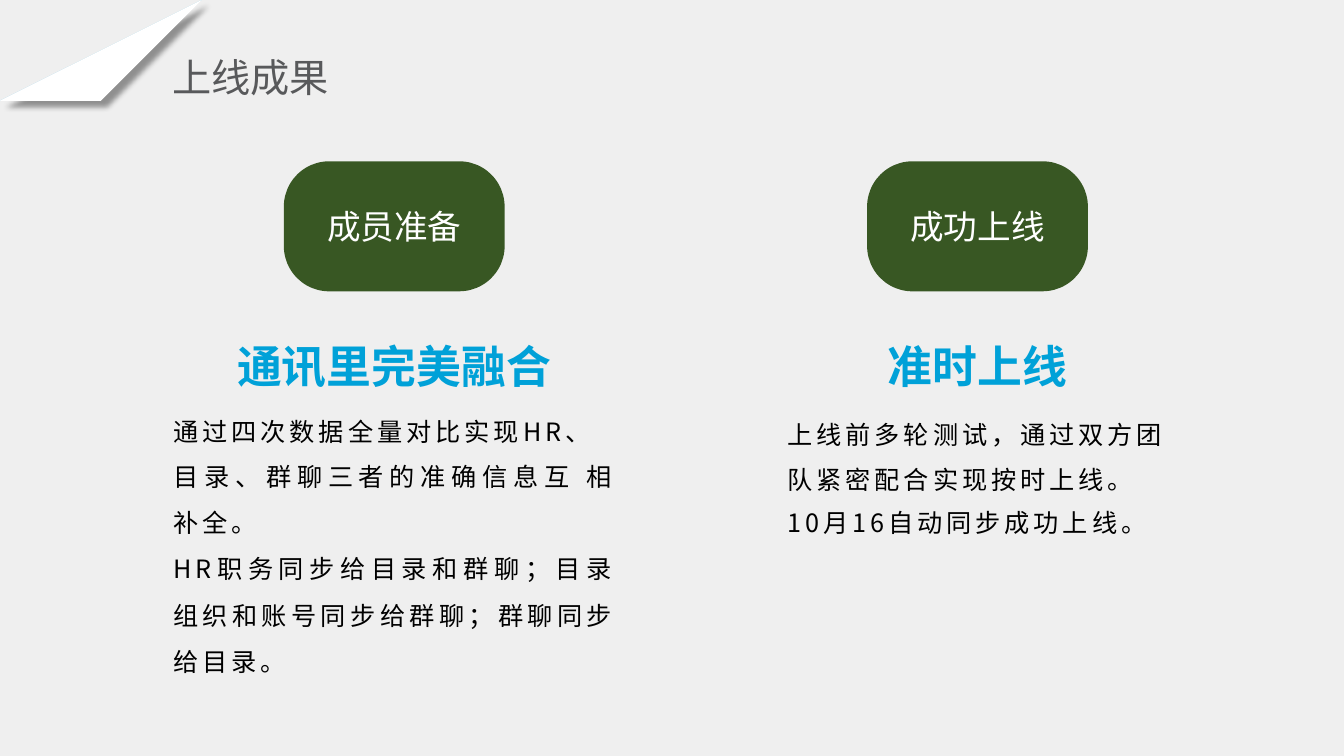
from lxml import etree
from pptx import Presentation
from pptx.dml.color import RGBColor
from pptx.enum.shapes import MSO_SHAPE
from pptx.enum.text import MSO_ANCHOR, MSO_AUTO_SIZE, PP_ALIGN
from pptx.oxml.ns import qn
from pptx.util import Inches, Pt

ROUNDED = MSO_SHAPE.ROUNDED_RECTANGLE
TOP, MIDDLE = MSO_ANCHOR.TOP, MSO_ANCHOR.MIDDLE
LEFT, CENTER, JUSTIFY = PP_ALIGN.LEFT, PP_ALIGN.CENTER, PP_ALIGN.JUSTIFY
NO_AUTOFIT = MSO_AUTO_SIZE.NONE

FONT = "Noto Sans CJK SC"
COLORS = {
    "background": "EFEFEF", "sky": "59C3EB", "white": "FFFFFF", "shadow": "000000",
    "title": "58595B", "badge": "385723", "heading": "00A1D8", "body": "000000",
}
TITLE = "上线成果"
TRACKING = 2.8
COLUMNS = [
    {
        "badge": "成员准备",
        "heading": "通讯里完美融合",
        "box": (1.61, 3.31, 4.6, 3.43),
        "align": JUSTIFY,
        "body": [
            ([("通过四次数据全量对比实现HR、", TRACKING)], 1, 16.8),
            ([("目录、群聊三者的准确信息互 相补全。", TRACKING)], 1.51, 0),
            ([("HR职务同步给目录和群聊；目录组织和账号同步给群聊；群聊同步给目录。", TRACKING)], 1.53, 0.2),
        ],
    },
    {
        "badge": "成功上线",
        "heading": "准时上线",
        "box": (7.7, 3.31, 3.99, 2.1),
        "align": LEFT,
        "body": [
            ([("上线前多轮测试，通过双方团队紧密配合实现按时上线。", TRACKING)], 1.51, 7.9),
            ([("10月16自动同步成功上线", TRACKING), ("。", 0)], 1, 8.8),
        ],
    },
]
BADGE_TOP, BADGE_WIDTH, BADGE_HEIGHT, BADGE_RADIUS = 1.6, 2.19, 1.29, 0.45
CORNER = [
    ("sky", [(0, 0.61), (0, 1.43), (1.73, 0)]),
    ("white", [(0.99, 1.42), (0.01, 1.42), (1.73, 0)]),
]


def color(name):
    return RGBColor.from_string(COLORS[name])


def paint(shape, name):
    shape.shadow.inherit = False
    shape.fill.solid()
    shape.fill.fore_color.rgb = color(name)
    shape.line.fill.background()


def place(shape, left, top, width, height):
    shape.left, shape.top = Inches(left), Inches(top)
    shape.width, shape.height = Inches(width), Inches(height)
    frame = shape.text_frame
    frame.word_wrap = True
    frame.auto_size = NO_AUTOFIT
    frame.vertical_anchor = TOP
    return frame


def add_run(paragraph, text, size, color_name, bold=False, tracking=0):
    run = paragraph.add_run()
    run.text = text
    run.font.size = Pt(size)
    run.font.bold = bold
    run.font.name = FONT
    run.font.color.rgb = color(color_name)
    properties = run.font._element
    properties.find(qn("a:latin")).addnext(
        etree.Element(qn("a:ea"), typeface=FONT))
    if tracking:
        properties.set("spc", str(round(tracking * 100)))


def format_paragraph(paragraph, align, line_spacing=1, space_before=0, margin=0):
    paragraph.alignment = align
    paragraph.line_spacing = line_spacing
    paragraph.space_before = Pt(space_before)
    properties = paragraph._p.get_or_add_pPr()
    properties.set("marL", str(Inches(margin)))
    properties.set("indent", "0")
    etree.SubElement(properties, qn("a:buNone"))


def add_corner(slide):
    for name, points in CORNER:
        builder = slide.shapes.build_freeform(*points[0], scale=Inches(1))
        builder.add_line_segments(points[1:], close=True)
        triangle = builder.convert_to_shape()
        paint(triangle, name)
    effects = triangle._element.spPr.find(qn("a:effectLst"))
    shadow = etree.SubElement(
        effects, qn("a:outerShdw"), blurRad=str(Pt(4)), dist=str(Pt(6)),
        dir="2700000", algn="tl", rotWithShape="0")
    tint = etree.SubElement(shadow, qn("a:srgbClr"), val=COLORS["shadow"])
    etree.SubElement(tint, qn("a:alpha"), val="40000")


def add_badge(slide, text, center):
    badge = slide.shapes.add_shape(
        ROUNDED, Inches(center - BADGE_WIDTH / 2), Inches(BADGE_TOP),
        Inches(BADGE_WIDTH), Inches(BADGE_HEIGHT))
    badge.adjustments[0] = BADGE_RADIUS / BADGE_HEIGHT
    paint(badge, "badge")
    frame = badge.text_frame
    frame.margin_left = frame.margin_right = frame.margin_top = frame.margin_bottom = 0
    frame.vertical_anchor = MIDDLE
    paragraph = frame.paragraphs[0]
    paragraph.alignment = CENTER
    add_run(paragraph, text, 24, "white")


def fill_column(slide, placeholder, column):
    left, _, width, _ = column["box"]
    add_badge(slide, column["badge"], left + width / 2)
    frame = place(placeholder, *column["box"])
    heading = frame.paragraphs[0]
    format_paragraph(heading, CENTER)
    add_run(heading, column["heading"], 32, "heading", bold=True)
    for runs, line_spacing, space_before in column["body"]:
        paragraph = frame.add_paragraph()
        format_paragraph(paragraph, column["align"], line_spacing, space_before, 0.01)
        for text, tracking in runs:
            add_run(paragraph, text, 18, "body", tracking=tracking)


def main():
    presentation = Presentation()
    presentation.slide_width, presentation.slide_height = Inches(13.33), Inches(7.5)
    slide = presentation.slides.add_slide(
        presentation.slide_layouts.get_by_name("Two Content"))
    slide.background.fill.solid()
    slide.background.fill.fore_color.rgb = color("background")

    add_corner(slide)
    title = place(slide.shapes.title, 1.61, 0.48, 3.61, 0.57).paragraphs[0]
    title.alignment = LEFT
    add_run(title, TITLE, 28, "title")
    for index, column in enumerate(COLUMNS, start=1):
        fill_column(slide, slide.placeholders[index], column)
    presentation.save("out.pptx")


if __name__ == "__main__":
    main()
